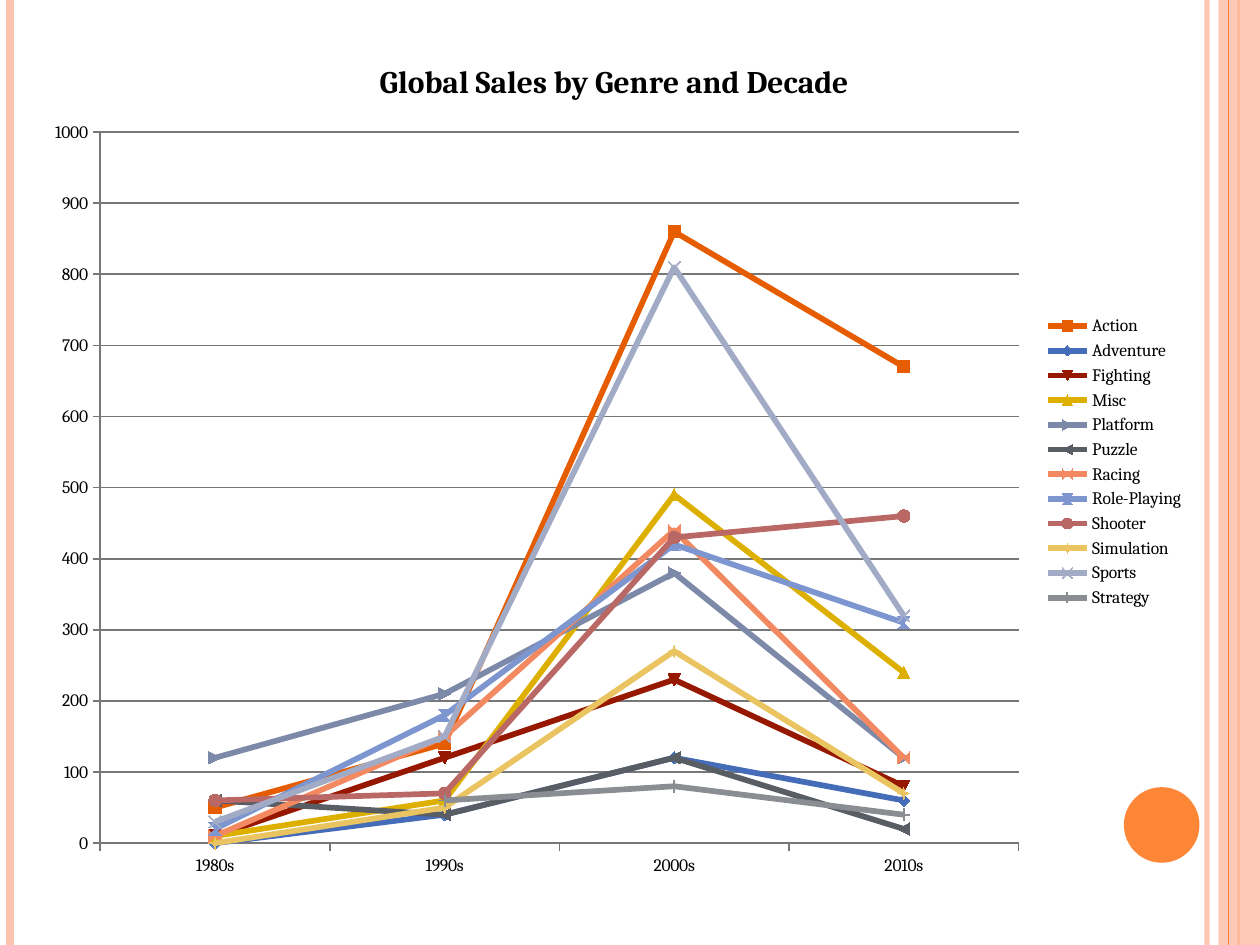
from dataclasses import dataclass
from typing import Optional

import lxml.etree
import pptx
import pptx.chart.data
import pptx.dml.color
import pptx.enum.chart
import pptx.enum.shapes
import pptx.oxml
import pptx.oxml.ns
import pptx.util

WIDTH, HEIGHT = pptx.util.Inches(10), pptx.util.Inches(7.5)


@dataclass(frozen=True)
class Theme:
    font: str = "Cambria"
    text: str = "000000"
    accent: str = "FE8637"
    pale: str = "FEC3AE"
    rule: str = "777777"
    title_size: float = 18
    label_size: float = 10
    series_weight: float = 3.25
    rule_weight: float = 1
    marker_size: int = 7


@dataclass(frozen=True)
class Stripe:
    """A full-height line; x is a share of the slide's width."""
    x: float
    color: str
    weight: float
    opacity: int = 100


@dataclass(frozen=True)
class Genre:
    name: str
    color: str
    sales: tuple[Optional[int], ...]


THEME = Theme()
DECADES = ("1980s", "1990s", "2000s", "2010s")
GENRES = (
    Genre("Action", "E65C00", (50, 140, 860, 670)),
    Genre("Adventure", "456CB9", (0, 40, 120, 60)),
    Genre("Fighting", "961800", (10, 120, 230, 80)),
    Genre("Misc", "DDB000", (10, 60, 490, 240)),
    Genre("Platform", "7D89A8", (120, 210, 380, 120)),
    Genre("Puzzle", "595D64", (60, 40, 120, 20)),
    Genre("Racing", "F38961", (10, 150, 440, 120)),
    Genre("Role-Playing", "7E96CF", (20, 180, 420, 310)),
    Genre("Shooter", "BA6866", (60, 70, 430, 460)),
    Genre("Simulation", "EAC460", (0, 50, 270, 70)),
    Genre("Sports", "A1ABC6", (30, 150, 810, 320)),
    Genre("Strategy", "8A8E93", (None, 60, 80, 40)),
)
BACK_STRIPES = (
    Stripe(0.958, THEME.pale, 3, 93),
    Stripe(0.008, THEME.pale, 4.5),
    Stripe(0.983, THEME.accent, 1.5),
)
FRONT_STRIPE = Stripe(0.975, THEME.accent, 0.75)


def rgb(color: str) -> pptx.dml.color.RGBColor:
    return pptx.dml.color.RGBColor.from_string(color)


def set_opacity(element, percent: int) -> None:
    color = next(element.iter(pptx.oxml.ns.qn("a:srgbClr")))
    alpha = lxml.etree.SubElement(color, pptx.oxml.ns.qn("a:alpha"))
    alpha.set("val", str(percent * 1000))


def style_line(line, color: str, weight: float) -> None:
    line.color.rgb = rgb(color)
    line.width = pptx.util.Pt(weight)


def style_font(font, size: float, bold: bool = False) -> None:
    font.name = THEME.font
    font.size = pptx.util.Pt(size)
    font.bold = bold
    font.color.rgb = rgb(THEME.text)


def add_stripe(page, stripe: Stripe) -> None:
    x = round(WIDTH * stripe.x)
    line = page.shapes.add_connector(
        pptx.enum.shapes.MSO_CONNECTOR.STRAIGHT, x, 0, x, HEIGHT)
    style_line(line.line, stripe.color, stripe.weight)
    properties = line._element.spPr
    if stripe.opacity < 100:
        set_opacity(properties, stripe.opacity)
    lxml.etree.SubElement(properties, pptx.oxml.ns.qn("a:effectLst"))


def add_plain_shape(page, kind, left: float, top: float, width: float,
                    height: float, color: str, opacity: int = 100) -> None:
    """Add a borderless shape placed by shares of the slide's size."""
    shape = page.shapes.add_shape(
        kind, round(WIDTH * left), round(HEIGHT * top),
        round(WIDTH * width), round(HEIGHT * height))
    shape.shadow.inherit = False
    shape.fill.solid()
    shape.fill.fore_color.rgb = rgb(color)
    shape.line.fill.background()
    if opacity < 100:
        set_opacity(shape._element.spPr, opacity)


def place_plot(chart, x: float, y: float, w: float, h: float) -> None:
    """Fix the inner plot area by shares of the chart's size."""
    plot_area = chart._chartSpace.chart.plotArea
    for old in plot_area.findall(pptx.oxml.ns.qn("c:layout")):
        plot_area.remove(old)
    settings = {"layoutTarget": "inner", "xMode": "edge", "yMode": "edge",
                "x": x, "y": y, "w": w, "h": h}
    tags = "".join(f'<c:{key} val="{value}"/>' for key, value in settings.items())
    plot_area.insert(0, pptx.oxml.parse_xml(
        f'<c:layout {pptx.oxml.ns.nsdecls("c")}>'
        f"<c:manualLayout>{tags}</c:manualLayout></c:layout>"))


def style_axes(chart) -> None:
    for axis in (chart.category_axis, chart.value_axis):
        axis.major_tick_mark = pptx.enum.chart.XL_TICK_MARK.OUTSIDE
        axis.minor_tick_mark = pptx.enum.chart.XL_TICK_MARK.NONE
        style_line(axis.format.line, THEME.rule, THEME.rule_weight)
        style_font(axis.tick_labels.font, THEME.label_size)
    values = chart.value_axis
    values.minimum_scale, values.maximum_scale, values.major_unit = 0, 1000, 100
    values.has_major_gridlines = True
    style_line(values.major_gridlines.format.line, THEME.rule, THEME.rule_weight)


def add_sales_chart(page) -> None:
    data = pptx.chart.data.CategoryChartData()
    data.categories = DECADES
    for genre in GENRES:
        data.add_series(genre.name, genre.sales)
    chart = page.shapes.add_chart(
        pptx.enum.chart.XL_CHART_TYPE.LINE_MARKERS,
        round(WIDTH * 0.025), round(HEIGHT / 30),
        round(WIDTH * 0.925), round(HEIGHT * 0.911), data).chart
    style_font(chart.font, THEME.label_size)

    chart.has_title = True
    title = chart.chart_title.text_frame
    title.text = "Global Sales by Genre and Decade"
    style_font(title.paragraphs[0].font, THEME.title_size, bold=True)

    chart.has_legend = True
    chart.legend.position = pptx.enum.chart.XL_LEGEND_POSITION.RIGHT
    chart.legend.include_in_layout = False
    style_font(chart.legend.font, THEME.label_size)

    style_axes(chart)
    place_plot(chart, 0.059, 0.117, 0.788, 0.826)
    plot = chart.plots[0]
    plot.vary_by_categories = False
    for series, genre in zip(plot.series, GENRES):
        series.smooth = False
        style_line(series.format.line, genre.color, THEME.series_weight)
        marker = series.marker
        marker.size = THEME.marker_size
        marker.format.fill.solid()
        marker.format.fill.fore_color.rgb = rgb(genre.color)
        marker.format.line.color.rgb = rgb(genre.color)


def main() -> None:
    deck = pptx.Presentation()
    deck.slide_width, deck.slide_height = WIDTH, HEIGHT
    page = deck.slides.add_slide(deck.slide_layouts[6])
    shapes = pptx.enum.shapes.MSO_SHAPE
    for stripe in BACK_STRIPES:
        add_stripe(page, stripe)
    add_plain_shape(page, shapes.RECTANGLE, 0.967, 0, 0.033, 1, THEME.pale, 87)
    add_stripe(page, FRONT_STRIPE)
    add_plain_shape(page, shapes.OVAL, 0.892, 0.833, 0.06, 0.08, THEME.accent)
    add_sales_chart(page)
    deck.save("out.pptx")


if __name__ == "__main__":
    main()
